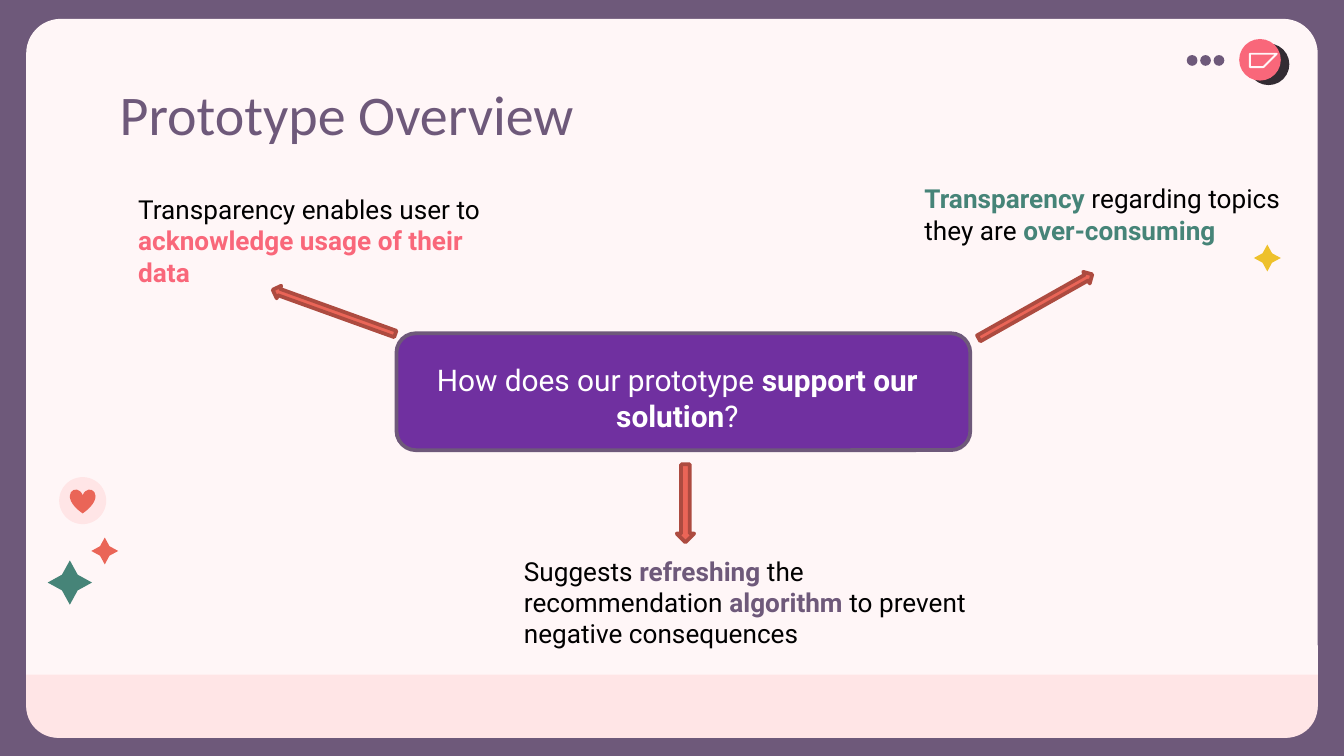
import dataclasses
import typing

import lxml.etree
import pptx
import pptx.dml.color
import pptx.enum.shapes
import pptx.enum.text
import pptx.oxml.ns
import pptx.util

SHAPES = pptx.enum.shapes.MSO_SHAPE
ALIGN = pptx.enum.text.PP_ALIGN
UNIT = pptx.util.Inches(0.1)
COLUMNS, ROWS = 100, 56.25


@dataclasses.dataclass(frozen=True)
class Theme:
    purple: str = "6E597A"
    violet: str = "7030A0"
    cream: str = "FFF6F7"
    blush: str = "FFE5E6"
    pink: str = "F9677A"
    coral: str = "EA6557"
    brick: str = "AD4B40"
    green: str = "468478"
    yellow: str = "EEC12B"
    dark: str = "332C33"
    black: str = "000000"
    white: str = "FFFFFF"
    title_font: str = "Calibri"
    body_font: str = "Roboto"
    title_size: int = 30
    question_size: int = 16
    note_size: int = 14
    outline: float = 2


THEME = Theme()


class Cell(typing.NamedTuple):
    column: float
    row: float
    columns: float
    rows: float

    def lengths(self) -> list[int]:
        return [round(value * UNIT) for value in self]


class Piece(typing.NamedTuple):
    kind: typing.Any
    cell: Cell
    fill: str
    line: str | None = None
    rotation: float = 0
    adjustments: tuple[float, ...] = ()


class Span(typing.NamedTuple):
    text: str
    color: str = THEME.black
    bold: bool = False


class Note(typing.NamedTuple):
    cell: Cell
    spans: list[Span]
    size: int = THEME.note_size
    alignment: typing.Any = ALIGN.LEFT


def star(column: float, row: float, size: float, color: str) -> Piece:
    return Piece(SHAPES.STAR_4_POINT, Cell(column, row, size, size), color, adjustments=(0.25,))


def arrow(cell: Cell, rotation: float) -> Piece:
    return Piece(SHAPES.RIGHT_ARROW, cell, THEME.coral, THEME.brick, rotation)


BACKDROP = [
    Piece(SHAPES.ROUNDED_RECTANGLE, Cell(1.95, 1.4, 96.1, 53.5), THEME.cream, adjustments=(0.048,)),
    Piece(SHAPES.ROUND_2_SAME_RECTANGLE, Cell(1.95, 50.2, 96.1, 4.7), THEME.blush, adjustments=(0, 0.5)),
    *[Piece(SHAPES.OVAL, Cell(88.3 + index, 4.1, 0.8, 0.8), THEME.purple) for index in range(3)],
    star(3.55, 41.7, 3.3, THEME.green),
    star(6.8, 40, 2, THEME.coral),
    Piece(SHAPES.OVAL, Cell(4.4, 35.5, 3.5, 3.5), THEME.blush),
    Piece(SHAPES.HEART, Cell(5.2, 36.4, 1.9, 1.8), THEME.coral),
    star(93.3, 18.2, 2, THEME.yellow),
]
HOME_BUTTON = Piece(SHAPES.OVAL, Cell(92.2, 2.9, 3.1, 3.1), THEME.pink)
HOUSE = [
    (93.7, 3.55), (94.65, 4.5), (94.45, 4.65), (94.45, 5.4), (93.95, 5.4), (93.95, 4.8),
    (93.45, 4.8), (93.45, 5.4), (92.95, 5.4), (92.95, 4.65), (92.75, 4.5),
]
DIAGRAM = [
    Piece(SHAPES.FLOWCHART_ALTERNATE_PROCESS, Cell(29.5, 24.8, 42.7, 8.7), THEME.violet, THEME.purple),
    arrow(Cell(20, 22.7, 9.7, 1), 199.8),
    arrow(Cell(72.2, 22.3, 9.7, 1), 330.6),
    arrow(Cell(48.1, 36.8, 5.8, 1.3), 90),
]
TITLE_CELL = Cell(7.9, 4.9, 84.3, 6.3)
NOTES = [
    Note(
        Cell(30.8, 26.4, 39.2, 6.4),
        [
            Span("How does our prototype ", THEME.white),
            Span("support our solution", THEME.white, True),
            Span("?", THEME.white),
        ],
        THEME.question_size,
        ALIGN.CENTER,
    ),
    Note(
        Cell(9.3, 13.9, 28.7, 8.1),
        [Span("Transparency enables user to "), Span("acknowledge usage of their data", THEME.pink, True)],
    ),
    Note(
        Cell(67.8, 13.1, 29.8, 8.1),
        [
            Span("Transparency", THEME.green, True),
            Span(" regarding topics they are "),
            Span("over-consuming", THEME.green, True),
        ],
    ),
    Note(
        Cell(38, 40.8, 35.4, 8.1),
        [
            Span("Suggests "),
            Span("refreshing", THEME.purple, True),
            Span(" the recommendation "),
            Span("algorithm", THEME.purple, True),
            Span(" to prevent negative consequences"),
        ],
    ),
]


def rgb(color: str) -> pptx.dml.color.RGBColor:
    return pptx.dml.color.RGBColor.from_string(color)


def draw_piece(slide: typing.Any, piece: Piece) -> typing.Any:
    shape = slide.shapes.add_shape(piece.kind, *piece.cell.lengths())
    shape.shadow.inherit = False
    shape.fill.solid()
    shape.fill.fore_color.rgb = rgb(piece.fill)
    if piece.line:
        shape.line.color.rgb = rgb(piece.line)
        shape.line.width = pptx.util.Pt(THEME.outline)
    else:
        shape.line.fill.background()
    shape.rotation = piece.rotation
    for index, value in enumerate(piece.adjustments):
        shape.adjustments[index] = value
    return shape


def draw_home_button(slide: typing.Any) -> None:
    button = draw_piece(slide, HOME_BUTTON)
    qualified = pptx.oxml.ns.qn
    effects = button.element.spPr.find(qualified("a:effectLst"))
    shadow = lxml.etree.SubElement(
        effects, qualified("a:outerShdw"), dist=str(pptx.util.Pt(5.2)), dir=str(28 * 60000), algn="bl", rotWithShape="0"
    )
    lxml.etree.SubElement(shadow, qualified("a:srgbClr"), val=THEME.dark)
    builder = slide.shapes.build_freeform(*HOUSE[0], scale=UNIT)
    builder.add_line_segments(HOUSE[1:], close=True)
    house = builder.convert_to_shape()
    house.shadow.inherit = False
    house.fill.background()
    house.line.color.rgb = rgb(THEME.cream)
    house.line.width = pptx.util.Pt(1)


def write_title(slide: typing.Any, text: str) -> None:
    title = slide.shapes.title
    slide.shapes.element.append(title.element)
    title.left, title.top, title.width, title.height = TITLE_CELL.lengths()
    frame = title.text_frame
    frame.text = text
    frame.auto_size = pptx.enum.text.MSO_AUTO_SIZE.NONE
    frame.vertical_anchor = pptx.enum.text.MSO_ANCHOR.TOP
    frame.margin_top = frame.margin_bottom = UNIT
    paragraph = frame.paragraphs[0]
    paragraph.alignment = ALIGN.LEFT
    paragraph.font.name = THEME.title_font
    paragraph.font.size = pptx.util.Pt(THEME.title_size)
    paragraph.font.color.rgb = rgb(THEME.purple)


def write_note(slide: typing.Any, note: Note) -> None:
    frame = slide.shapes.add_textbox(*note.cell.lengths()).text_frame
    frame.word_wrap = True
    frame.auto_size = pptx.enum.text.MSO_AUTO_SIZE.SHAPE_TO_FIT_TEXT
    paragraph = frame.paragraphs[0]
    paragraph.alignment = note.alignment
    paragraph.font.name = THEME.body_font
    paragraph.font.size = pptx.util.Pt(note.size)
    for span in note.spans:
        run = paragraph.add_run()
        run.text = span.text
        run.font.bold = span.bold
        run.font.color.rgb = rgb(span.color)


def main() -> None:
    presentation = pptx.Presentation()
    presentation.slide_width = round(COLUMNS * UNIT)
    presentation.slide_height = round(ROWS * UNIT)
    slide = presentation.slides.add_slide(presentation.slide_layouts.get_by_name("Title Only"))
    slide.background.fill.solid()
    slide.background.fill.fore_color.rgb = rgb(THEME.purple)
    for piece in BACKDROP + DIAGRAM:
        draw_piece(slide, piece)
    draw_home_button(slide)
    write_title(slide, "Prototype Overview")
    for note in NOTES:
        write_note(slide, note)
    presentation.save("out.pptx")


if __name__ == "__main__":
    main()
